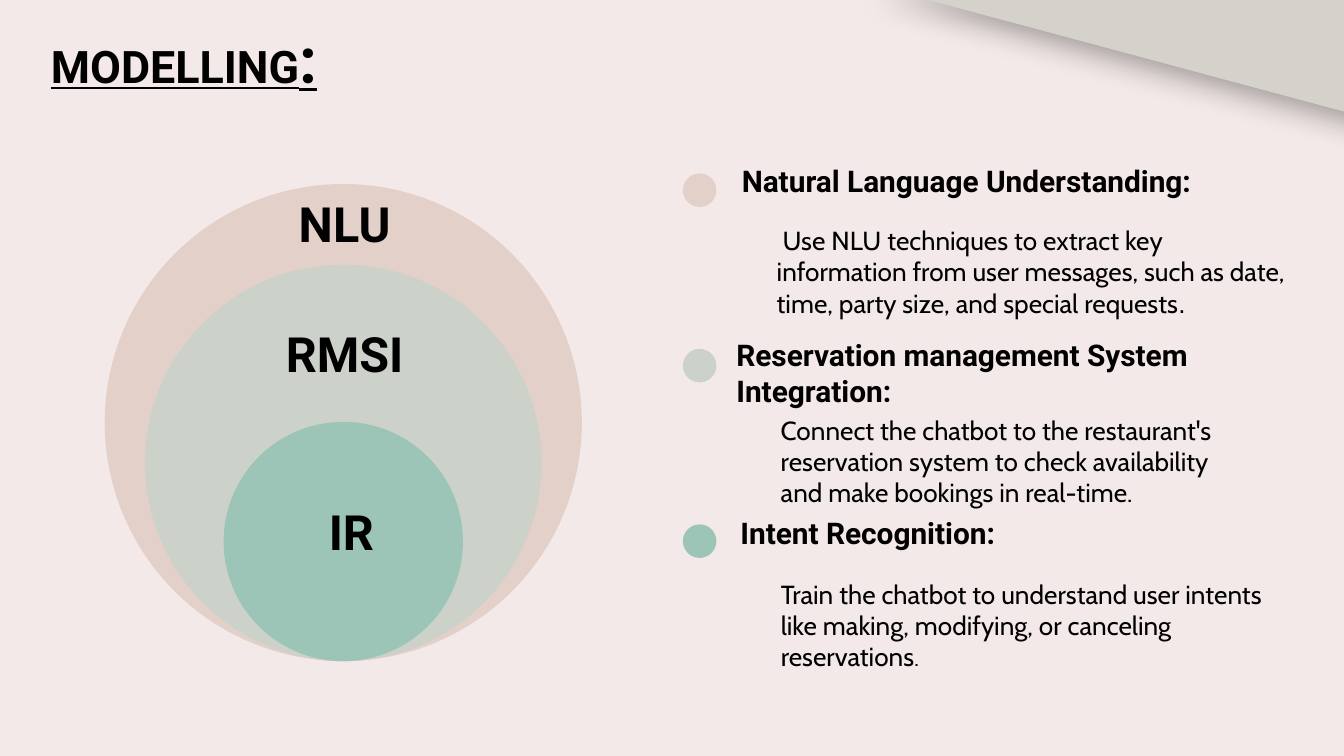
import copy
from dataclasses import dataclass

import pptx
import pptx.dml.color
import pptx.enum.shapes
import pptx.enum.text
import pptx.oxml
import pptx.util
from pptx.util import Pt

ALIGN = pptx.enum.text.PP_ALIGN
ANCHOR = pptx.enum.text.MSO_ANCHOR


@dataclass(frozen=True)
class Theme:
    background: str = "F3E9E8"
    corner: str = "D5D2CB"
    ink: str = "000000"
    rings: tuple = ("E3D0C9", "CCD1CA", "9CC5B7")
    heading_font: str = "Roboto"
    body_font: str = "Cabin"
    title_size: float = 24
    colon_size: float = 34
    label_size: float = 26
    heading_size: float = 16
    body_size: float = 14


@dataclass(frozen=True)
class Box:
    left: float
    top: float
    width: float
    height: float

    def lengths(self):
        return [Pt(v) for v in (self.left, self.top, self.width, self.height)]

    def inner(self, left, top, width, height):
        """Return a box whose corner is measured from this box's corner."""
        return Box(self.left + left, self.top + top, width, height)


@dataclass(frozen=True)
class Topic:
    label: str
    diameter: float
    label_centre: tuple
    heading: str
    heading_place: tuple
    body: str
    body_place: tuple
    stop_style: dict


THEME = Theme()
TOPICS = (
    Topic("NLU", 255.6, (128.6, 21.2),
          "Natural Language Understanding:", (24.5, -32.4, 277.2, 53.3),
          " Use NLU techniques to extract key information from user messages, "
          "such as date, time, party size, and special requests",
          (43.2, 20.1, 288.7, 83.5), {"font": "Arial"}),
    Topic("RMSI", 212.4, (128.6, 90.4),
          "Reservation management System Integration:", (21.6, -8.3, 298, 47.5),
          "Connect the chatbot to the restaurant's reservation system to check "
          "availability and make bookings in real-time",
          (45.4, 27.7, 256.3, 54.7), {}),
    Topic("IR", 128.2, (132.2, 186.2),
          "Intent Recognition:", (23.8, -18.8, 267.8, 40.3),
          "Train the chatbot to understand user intents like making, "
          "modifying, or canceling reservations",
          (45.4, 21.5, 274.3, 66.2), {"size": 12}),
)


def rgb(colour):
    return pptx.dml.color.RGBColor.from_string(colour)


def paint(shape, colour):
    shape.shadow.inherit = False
    shape.fill.solid()
    shape.fill.fore_color.rgb = rgb(colour)
    shape.line.fill.background()


def add_circle(slide, box, colour):
    circle = slide.shapes.add_shape(
        pptx.enum.shapes.MSO_SHAPE.OVAL, *box.lengths())
    paint(circle, colour)


def add_run(paragraph, text, size, font, bold=False, underline=False):
    run = paragraph.add_run()
    run.text = text
    run.font.size = Pt(size)
    run.font.name = font
    run.font.bold = bold
    run.font.underline = underline
    run.font.color.rgb = rgb(THEME.ink)


def add_paragraph_box(slide, box, anchor=ANCHOR.TOP, align=ALIGN.LEFT):
    """Add a wrapping text box and return its first paragraph."""
    frame = slide.shapes.add_textbox(*box.lengths()).text_frame
    frame.word_wrap = True
    frame.vertical_anchor = anchor
    frame.margin_left = frame.margin_right = Pt(7.2)
    frame.margin_top = frame.margin_bottom = Pt(7.2)
    frame.paragraphs[0].alignment = align
    return frame.paragraphs[0]


def draw_corner(slide, box):
    """Draw the folded corner with its soft shadow."""
    right, bottom = box.left + box.width, box.top + box.height
    outline = slide.shapes.build_freeform(
        Pt(right - 0.5), Pt(bottom), scale=1.0)
    outline.add_line_segments(
        [(Pt(right), Pt(box.top)), (Pt(box.left), Pt(box.top + 0.5))], close=True)
    corner = outline.convert_to_shape()
    paint(corner, THEME.corner)
    effects = corner.element.spPr.find(pptx.oxml.ns.qn("a:effectLst"))
    effects.append(pptx.oxml.parse_xml(
        f'<a:outerShdw {pptx.oxml.ns.nsdecls("a")} blurRad="{Pt(16.9)}" '
        f'dist="{Pt(6)}" dir="{61 * 60000}" algn="bl" rotWithShape="0">'
        f'<a:srgbClr val="{THEME.ink}"><a:alpha val="34000"/></a:srgbClr>'
        '</a:outerShdw>'))


def draw_title(slide, box):
    title = add_paragraph_box(slide, box)
    for text, size in (("MODELLING", THEME.title_size), (":", THEME.colon_size)):
        add_run(title, text, size, THEME.heading_font, bold=True, underline=True)


def draw_nested_circles(slide, box):
    """Draw circles that all touch the bottom centre, then their labels."""
    for topic, colour in zip(TOPICS, THEME.rings):
        size = topic.diameter
        add_circle(slide, box.inner((box.width - size) / 2, box.height - size,
                                    size, size), colour)
    width, height = 100, 44
    for topic in TOPICS:
        x, y = topic.label_centre
        label = add_paragraph_box(
            slide, box.inner(x - width / 2, y - height / 2, width, height),
            ANCHOR.MIDDLE, ALIGN.CENTER)
        add_run(label, topic.label, THEME.label_size, THEME.heading_font, bold=True)


def draw_topic(slide, box, topic, colour):
    add_circle(slide, box.inner(0, 0, 18, 18), colour)
    heading = add_paragraph_box(
        slide, box.inner(*topic.heading_place), ANCHOR.BOTTOM)
    add_run(heading, topic.heading, THEME.heading_size, THEME.heading_font, bold=True)
    body = add_paragraph_box(slide, box.inner(*topic.body_place))
    body.space_after = Pt(16)
    style = {"size": THEME.body_size, "font": THEME.body_font}
    add_run(body, topic.body, **style)
    add_run(body, ".", **{**style, **topic.stop_style})


def draw_topic_list(slide, box):
    pitch = box.height / len(TOPICS)
    for row, (topic, colour) in enumerate(zip(TOPICS, THEME.rings)):
        draw_topic(slide, box.inner(0, row * pitch, box.width, pitch), topic, colour)


def main():
    deck = pptx.Presentation()
    deck.slide_width, deck.slide_height = Pt(720), Pt(405)
    slide = deck.slides.add_slide(deck.slide_layouts[6])
    slide.background.fill.solid()
    slide.background.fill.fore_color.rgb = rgb(THEME.background)
    draw_corner(slide, Box(467.3, -8.6, 264.2, 71.3))
    draw_title(slide, Box(20.2, 3.6, 607, 45.4))
    draw_nested_circles(slide, Box(56.1, 98.6, 255.6, 255.6))
    draw_topic_list(slide, Box(365.8, 92.9, 332, 282))
    deck.save("out.pptx")


if __name__ == "__main__":
    main()
